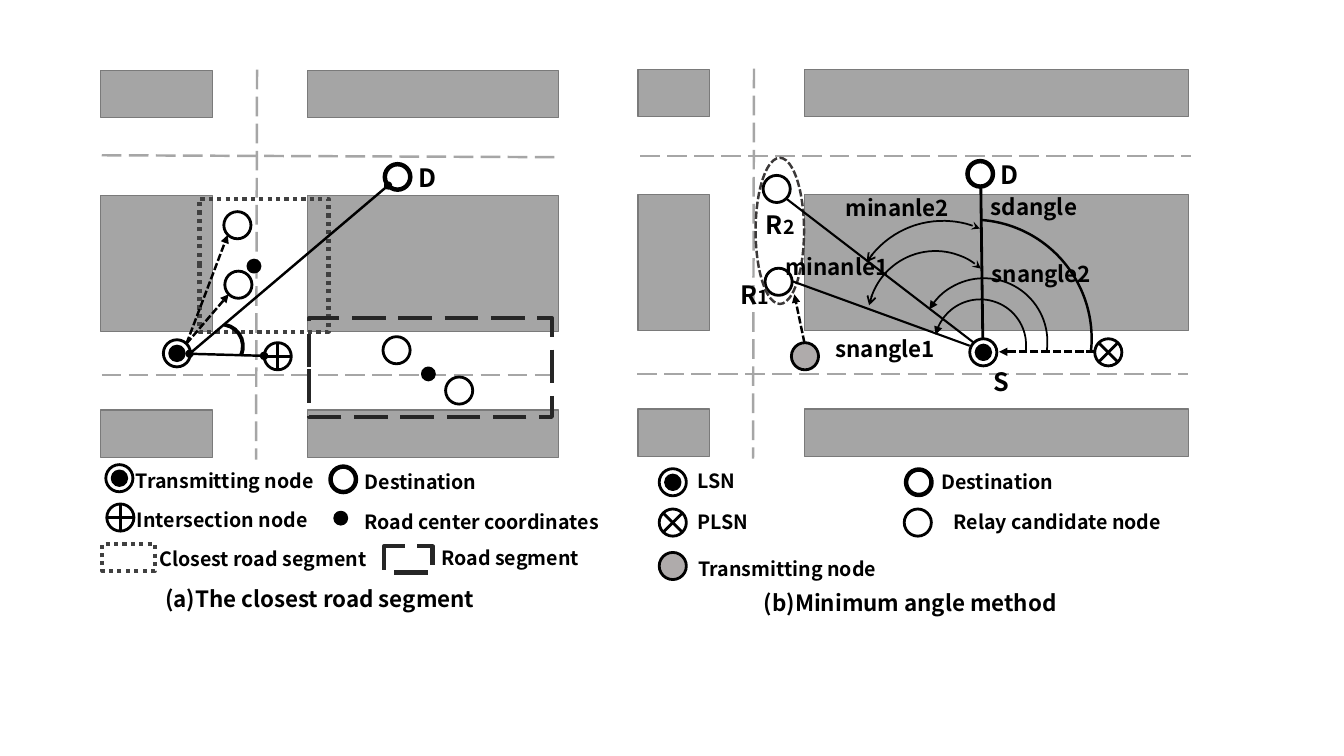
from itertools import product

from lxml.etree import SubElement
from pptx import Presentation
from pptx.dml.color import RGBColor
from pptx.enum.dml import MSO_LINE as Dash
from pptx.enum.shapes import MSO_CONNECTOR, MSO_SHAPE as Preset
from pptx.enum.text import MSO_AUTO_SIZE
from pptx.oxml.ns import qn
from pptx.util import Pt

FONT = "Noto Sans CJK JP"
COLORS = {
    "ink": "000000", "paper": "FFFFFF", "block": "A5A5A5", "block_edge": "7A7A7A",
    "lane": "A6A6A6", "sender": "AFABAB", "closest": "404040", "segment": "262626",
    "relays": "3B3838",
}
NODE = 19.4
ROWS = [(0, 33.8), (89.3, 97.2), (242.6, 33.8)]


def rgb(name):
    return RGBColor.from_string(COLORS[name])


def style_line(shape, color, width, dash=None, head=None, tail=None):
    shape.line.color.rgb = rgb(color)
    shape.line.width = Pt(width)
    if dash:
        shape.line.dash_style = dash
    outline = shape.element.spPr.find(qn("a:ln"))
    for tag, kind in (("a:headEnd", head), ("a:tailEnd", tail)):
        if kind:
            SubElement(outline, qn(tag), type=kind)


class Panel:
    """Draws on a slide in points, measured from the panel's top left corner."""

    def __init__(self, slide, left, top):
        self.shapes, self.left, self.top = slide.shapes, left, top

    def at(self, x, y):
        return Pt(self.left + x), Pt(self.top + y)

    def centred(self, preset, center, width, height, fill=None, color="ink",
                weight=2, rotation=0, **ends):
        x, y = center
        shape = self.shapes.add_shape(preset, *self.at(x - width / 2, y - height / 2),
                                      Pt(width), Pt(height))
        shape.shadow.inherit = False
        shape.rotation = rotation
        if fill:
            shape.fill.solid()
            shape.fill.fore_color.rgb = rgb(fill)
        else:
            shape.fill.background()
        style_line(shape, color, weight, **ends)
        return shape

    def node(self, center, preset=Preset.OVAL, fill="paper", size=NODE):
        self.centred(preset, center, size, size, fill)

    def target(self, center):
        self.node(center)
        self.node(center, fill="ink", size=10.4)

    def destination(self, center):
        self.node(center, fill="ink")
        self.node(center, size=17)

    def arc(self, center, size, rotation, angles, weight=1.25, **ends):
        shape = self.centred(Preset.ARC, center, size, size, weight=weight,
                             rotation=rotation, **ends)
        shape.adjustments[0], shape.adjustments[1] = angles

    def line(self, start, end, weight=1.75, color="ink", **ends):
        link = self.shapes.add_connector(MSO_CONNECTOR.STRAIGHT,
                                         *self.at(*start), *self.at(*end))
        SubElement(link.element.spPr, qn("a:effectLst"))
        style_line(link, color, weight, **ends)

    def label(self, text, x, y, width, size=14, index=""):
        """Adds a bold label, with an optional smaller index after it."""
        box = self.shapes.add_textbox(*self.at(x, y), Pt(width), Pt(size * 1.45 + 7.2))
        box.text_frame.word_wrap = True
        box.text_frame.auto_size = MSO_AUTO_SIZE.SHAPE_TO_FIT_TEXT
        paragraph = box.text_frame.paragraphs[0]
        paragraph.font.name, paragraph.font.bold = FONT, True
        paragraph.font.color.rgb = rgb("ink")
        paragraph.font.size = Pt(size)
        paragraph.add_run().text = text
        if index:
            small = paragraph.add_run()
            small.text, small.font.size = index, Pt(14)

    def street_map(self, columns, lanes):
        for (y, height), (x, width) in product(ROWS, columns):
            self.centred(Preset.RECTANGLE, (x + width / 2, y + height / 2),
                         width, height, "block", "block_edge", 1)
        for start, end in lanes:
            self.line(start, end, color="lane", dash=Dash.LONG_DASH)


def closest_segment_panel(slide, left, top):
    panel = Panel(slide, left, top)
    panel.street_map([(0, 79.9), (147.6, 179.3)],
                     [((0.7, 217.4), (326.9, 217.4)), ((0.7, 60.5), (326.9, 61.9)),
                      ((111.6, -0.7), (110.9, 277.9))])

    for crossing in [(126.4, 204.1), (14, 319.3)]:
        panel.node(crossing, Preset.FLOWCHART_OR)
    for sender in [(54.4, 202), (13.3, 291.2)]:
        panel.target(sender)
    for goal in [(212, 76), (173.2, 292)]:
        panel.destination(goal)
    for relay in [(97.6, 110.5), (98.3, 153), (211.3, 199.8), (256, 228.6)]:
        panel.node(relay)
    for road_center in [(234, 216.7), (109.4, 139.7), (171.4, 319.7)]:
        panel.node(road_center, fill="ink", size=8.6)

    for center, width, height, color, dash in [
        ((116.6, 139), 95, 92.2, "closest", Dash.ROUND_DOT),
        ((19.8, 347.8), 19.4, 37.4, "closest", Dash.ROUND_DOT),
        ((235.4, 212), 70.6, 173.5, "segment", Dash.LONG_DASH),
        ((219.6, 349.2), 18.7, 34.6, "segment", Dash.LONG_DASH),
    ]:
        panel.centred(Preset.RECTANGLE, center, width, height, color=color,
                      weight=3, rotation=90, dash=dash)

    for relay_edge in [(90.7, 117.4), (91.4, 159.8)]:
        panel.line((61.2, 195.1), relay_edge, dash=Dash.SQUARE_DOT, tail="triangle")
    panel.line((63.4, 202.3), (205.2, 82.1), tail="oval")
    panel.line((63.4, 202.3), (116.6, 203.8), head="oval", tail="oval")
    panel.arc((86, 196.9), 31, 69.7, (124.79, 190.07), 2.75)

    panel.label("D", 219.6, 61.9, 27.4, 18)
    for text, x, y, width in [
        ("Transmitting node", 18, 280.8, 176.4),
        ("Intersection node", 18.7, 308.9, 176.4),
        ("Closest road segment", 34.6, 337, 176.4),
        ("Destination", 181.4, 281.5, 100.8),
        ("Road center coordinates", 181.4, 310.3, 182.2),
        ("Road segment", 236.2, 336.2, 121),
    ]:
        panel.label(text, x, y, width)
    panel.label("(a)The closest road segment", 38.9, 364.3, 242.6, 16)


def minimum_angle_panel(slide, left, top):
    panel = Panel(slide, left, top)
    panel.street_map([(0, 51.1), (118.8, 274.3)],
                     [((-0.7, 217.4), (393.1, 217.4)), ((1.4, 61.9), (395.3, 61.9)),
                      ((82.8, -0.7), (82.1, 277.9))])

    for relay in [(100.4, 151.6), (99, 85.3), (199.8, 323.6)]:
        panel.node(relay)
    for previous in [(335.9, 202), (24.8, 323.6)]:
        panel.node(previous, Preset.FLOWCHART_SUMMING_JUNCTION)
    for goal in [(244.4, 74.5), (200.5, 294.8)]:
        panel.destination(goal)
    for source in [(246.6, 202), (24.8, 294.8)]:
        panel.target(source)
    for sender in [(119.2, 204.8), (24.8, 354.6)]:
        panel.node(sender, fill="sender")
    panel.centred(Preset.OVAL, (101.2, 115.2), 104.4, 34.6, color="relays",
                  weight=1.75, rotation=90, dash=Dash.SQUARE_DOT)

    panel.line((326.2, 201.6), (257.8, 201.6), 2, dash=Dash.SQUARE_DOT, tail="triangle")
    panel.line((118.8, 195.1), (111.6, 160.6), dash=Dash.SQUARE_DOT, tail="triangle")
    panel.line((236.9, 197.3), (110.2, 151.2), 1.5)
    panel.line((239.8, 195.1), (105.8, 92.2), 1.5)
    panel.line((246.2, 192.2), (244.8, 83.5), 2)

    panel.arc((247, 194.4), 90.7, 2.7, (124.79, 3.3), head="triangle")
    panel.arc((244.4, 196.9), 65.5, 352.6, (120.29, 7.89), head="triangle")
    panel.arc((239, 192.2), 170, 0, (164.23, 3.3), 1.75)
    panel.arc((217.8, 173.2), 130.3, 279.1, (176.45, 8.83), head="arrow", tail="stealth")
    panel.arc((212.4, 177.8), 96.5, 290.6, (156.4, 13.02), head="arrow", tail="stealth")

    panel.label("D", 252, 60.5, 27.4, 18)
    panel.label("S", 247, 208.1, 27.4, 18)
    panel.label("R", 66.2, 146.2, 45.4, 18, "1")
    panel.label("R", 84.2, 96.5, 58.3, 18, "2")
    for angle, x, y in [
        ("sdangle", 244.8, 85), ("snangle1", 133.9, 185.8), ("snangle2", 245.5, 132.5),
        ("minanle2", 141.1, 85.7), ("minanle1", 97.9, 127.4),
    ]:
        panel.label(angle, x, y, 91.4, 16)
    for text, x, y in [
        ("LSN", 35.3, 281.5), ("PLSN", 35.3, 311), ("Transmitting node", 36, 344.9),
        ("Destination", 209.5, 282.2), ("Relay candidate node", 218.2, 311),
    ]:
        panel.label(text, x, y, 162.7)
    panel.label("(b)Minimum angle method", 82.8, 367.9, 271.4, 16)


def main():
    deck = Presentation()
    deck.slide_width, deck.slide_height = Pt(960), Pt(540)
    slide = deck.slides.add_slide(deck.slide_layouts[6])
    minimum_angle_panel(slide, 455.8, 49.7)
    closest_segment_panel(slide, 72, 50.4)
    deck.save("out.pptx")


if __name__ == "__main__":
    main()
